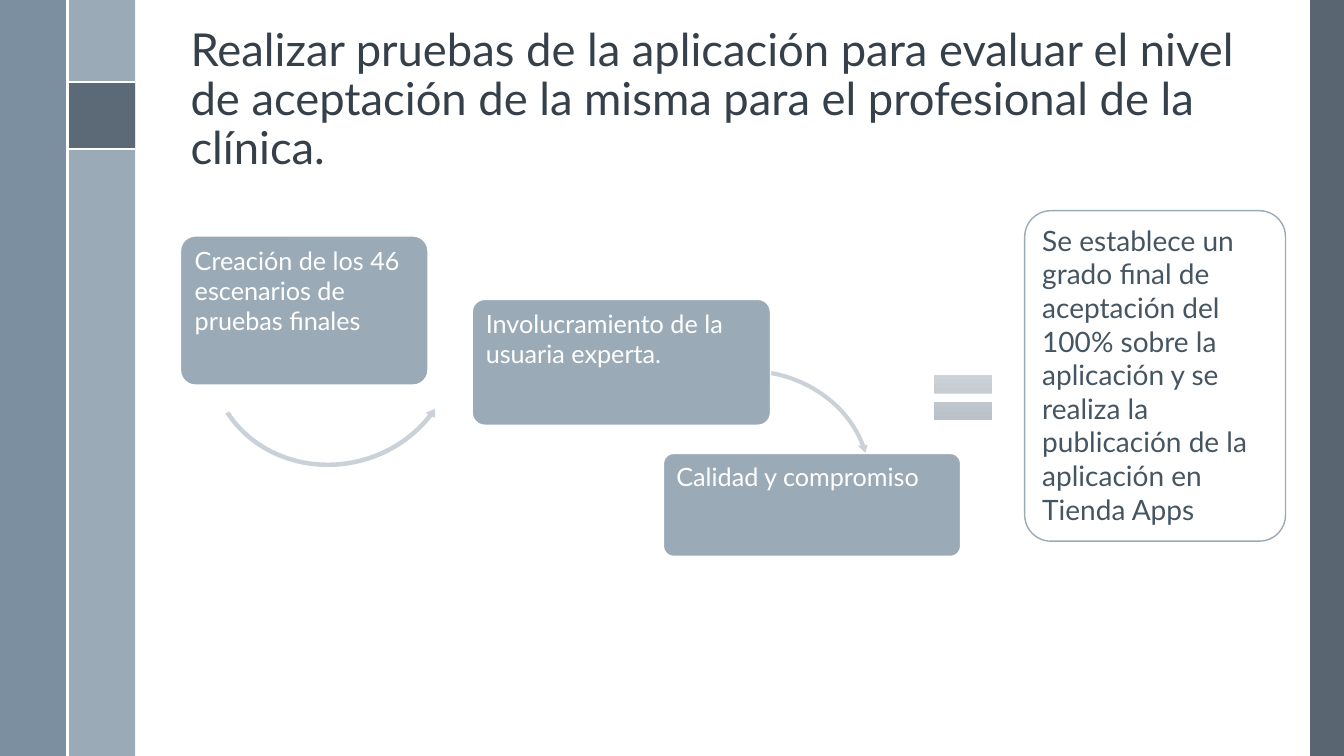
from lxml import etree
from pptx import Presentation
from pptx import util as u
from pptx.dml.color import RGBColor
from pptx.enum import shapes, text
from pptx.oxml.ns import qn

WIDTH, HEIGHT = 13.33, 7.5
BAND = 0.67
FONT = "Lato"
MIST, SLATE, STEEL, PALE, WHITE = "9BAAB7", "475562", "6A8093", "CBD1D8", "FFFFFF"
PRESET = shapes.MSO_SHAPE


def color(hex_string):
    return RGBColor.from_string(hex_string)


def inches(*lengths):
    return [u.Inches(length) for length in lengths]


def add_filled(slide, preset, box, fill, line=None, opacity=100):
    shape = slide.shapes.add_shape(preset, *inches(*box))
    shape.shadow.inherit = False
    shape.fill.solid()
    shape.fill.fore_color.rgb = color(fill)
    if opacity < 100:
        fill_color = shape.fill._xPr.find(qn("a:solidFill"))[0]
        etree.SubElement(fill_color, qn("a:alpha"), val=str(opacity * 1000))
    if line:
        shape.line.color.rgb = color(line)
        shape.line.width = u.Pt(1)
    else:
        shape.line.fill.background()
    return shape


def add_rule(slide, start, end):
    rule = slide.shapes.add_connector(
        shapes.MSO_CONNECTOR.STRAIGHT, *inches(*start, *end))
    rule.line.color.rgb = color(WHITE)
    rule.line.width = u.Pt(1.5)
    etree.SubElement(rule._element.spPr, qn("a:effectLst"))


def write(shape, words, size, hex_string, anchor):
    frame = shape.text_frame
    frame.text = words
    frame.word_wrap = True
    frame.auto_size = text.MSO_AUTO_SIZE.NONE
    frame.vertical_anchor = anchor
    paragraph = frame.paragraphs[0]
    paragraph.alignment = text.PP_ALIGN.LEFT
    font = paragraph.runs[0].font
    font.name, font.size = FONT, u.Pt(size)
    font.color.rgb = color(hex_string)
    return paragraph


def add_side_bands(slide):
    square_top = 0.81
    bands = [
        ((WIDTH - BAND / 2, 0, BAND / 2, HEIGHT), SLATE, 90),
        ((BAND, 0, BAND, HEIGHT), MIST, 100),
        ((0, 0, BAND, HEIGHT), STEEL, 88),
        ((BAND, square_top, BAND, BAND), SLATE, 75),
    ]
    for box, fill, opacity in bands:
        add_filled(slide, PRESET.RECTANGLE, box, fill, opacity=opacity)
    for y in (square_top, square_top + BAND):
        add_rule(slide, (BAND, y), (2 * BAND, y))
    add_rule(slide, (BAND, 0), (BAND, HEIGHT))


def add_title(slide, box, words):
    title = slide.shapes.title
    title.left, title.top, title.width, title.height = inches(*box)
    paragraph = write(title, words, 32.4, "35404A", text.MSO_ANCHOR.BOTTOM)
    paragraph.line_spacing = 0.9


def add_card(slide, box, words, size=18, fill=MIST, line=WHITE, ink=WHITE):
    card = add_filled(slide, PRESET.ROUNDED_RECTANGLE, box, fill, line)
    card.adjustments[0] = 0.1
    write(card, words, size, ink, text.MSO_ANCHOR.TOP)


def add_curved_arrow(slide, preset, box, rotation, adjustments):
    arrow = add_filled(slide, preset, box, PALE)
    arrow.rotation = rotation
    for index, value in enumerate(adjustments):
        arrow.adjustments[index] = value


def add_equals(slide, box):
    equals = add_filled(slide, PRESET.MATH_EQUAL, box, PALE)
    equals.fill.gradient()
    equals.fill.gradient_angle = 270
    for stop, hex_string in zip(equals.fill.gradient_stops, ("D3D8DE", "B3BAC1")):
        stop.color.rgb = color(hex_string)


def add_process(slide, box):
    """Three stepped cards joined by arrows, then an equals sign and the result."""
    left, top, width, height = box

    def place(x, y, w, h):
        return left + x * width, top + y * height, w * width, h * height

    add_curved_arrow(slide, PRESET.CIRCULAR_ARROW, place(0.426, 0.457, 0.203, 0.544),
                     22, (0.022, 2.644, 196.606, 133.856, 0.026))
    add_curved_arrow(slide, PRESET.LEFT_CIRCULAR_ARROW, place(0.022, 0.067, 0.231, 0.68),
                     346.4, (0.019, 2.316, 27.964, 98.138, 0.023))
    steps = [
        ("Creación de los 46 escenarios de pruebas finales", (0, 0.073, 0.224, 0.43)),
        ("Involucramiento de la usuaria experta.", (0.264, 0.256, 0.27, 0.363)),
        ("Calidad y compromiso", (0.437, 0.7, 0.269, 0.297)),
    ]
    for words, share in steps:
        add_card(slide, place(*share), words)
    add_equals(slide, place(0.672, 0.43, 0.072, 0.218))
    add_card(slide, place(0.764, 0, 0.236, 0.953),
             "Se establece un grado final de aceptación del 100% sobre la aplicación "
             "y se realiza la publicación de la aplicación en Tienda Apps",
             size=20, fill=WHITE, line=MIST, ink="465562")


def main():
    presentation = Presentation()
    presentation.slide_width, presentation.slide_height = inches(WIDTH, HEIGHT)
    slide = presentation.slides.add_slide(presentation.slide_layouts[5])
    add_side_bands(slide)
    add_title(slide, (1.79, 0.42, 10.7, 1.36),
              "Realizar pruebas de la aplicación para evaluar el nivel de aceptación "
              "de la misma para el profesional de la clínica.")
    add_process(slide, (1.79, 2.09, 10.96, 3.44))
    presentation.save("out.pptx")


if __name__ == "__main__":
    main()
